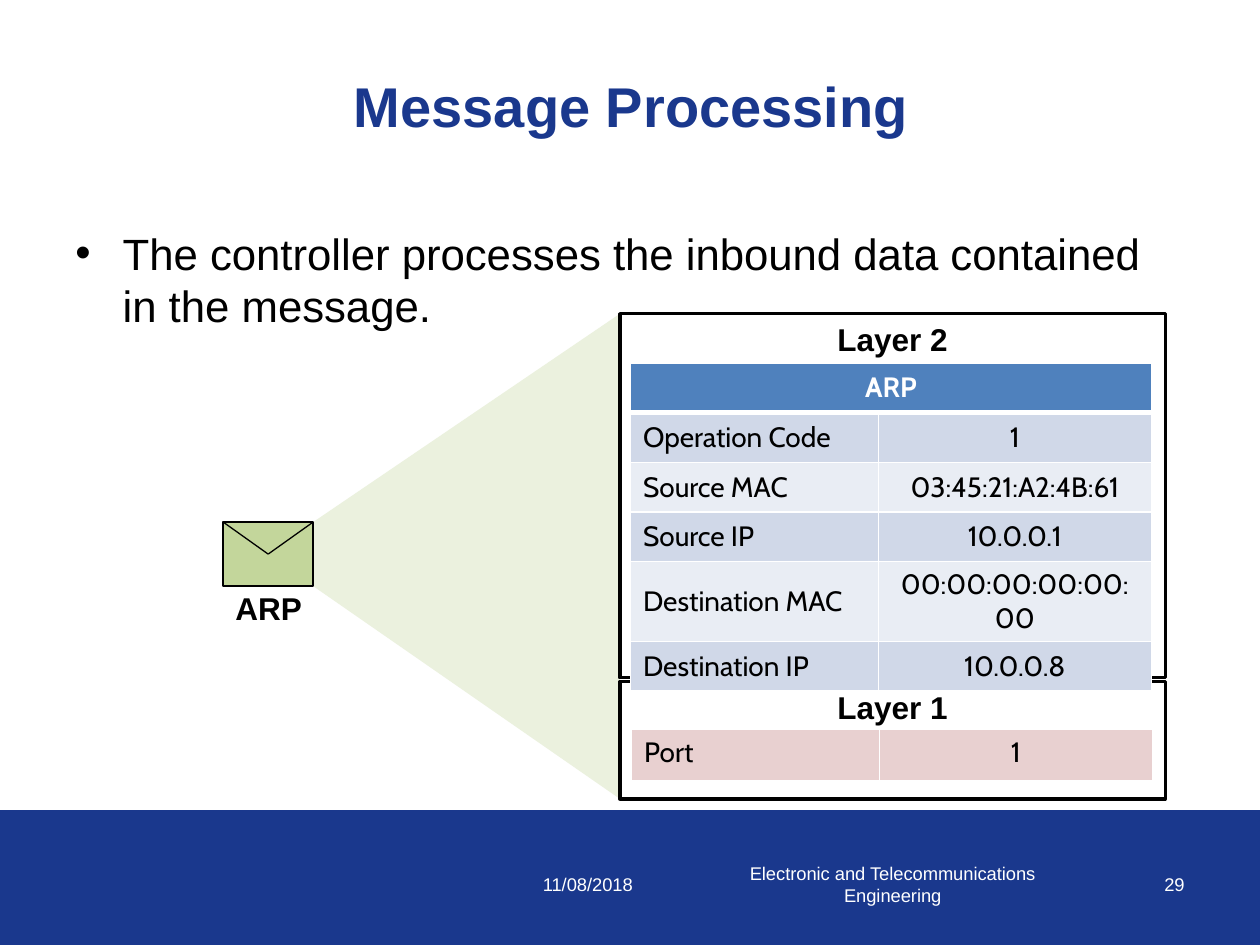
from dataclasses import dataclass

import pptx
import pptx.dml.color
import pptx.enum.shapes
import pptx.enum.text
import pptx.oxml
import pptx.oxml.ns
import pptx.util

Pt = pptx.util.Pt
RGBColor = pptx.dml.color.RGBColor
ALIGN = pptx.enum.text.PP_ALIGN
ANCHOR = pptx.enum.text.MSO_ANCHOR
RECTANGLE = pptx.enum.shapes.MSO_SHAPE.RECTANGLE

NAVY = RGBColor(0x1A, 0x38, 0x8D)
BLACK = RGBColor(0, 0, 0)
WHITE = RGBColor(0xFF, 0xFF, 0xFF)
BEAM_GREEN = RGBColor(0xEB, 0xF1, 0xDE)
ENVELOPE_GREEN = RGBColor(0xC3, 0xD6, 0x9B)
HEADER_BLUE = RGBColor(0x4F, 0x81, 0xBD)
BAND_DARK = RGBColor(0xD0, 0xD8, 0xE8)
BAND_LIGHT = RGBColor(0xE9, 0xED, 0xF4)
PORT_PINK = RGBColor(0xE8, 0xD0, 0xD0)

COLUMN_WIDTHS = (141.6, 156)


@dataclass
class Box:
    left: float
    top: float
    width: float
    height: float

    def lengths(self):
        return Pt(self.left), Pt(self.top), Pt(self.width), Pt(self.height)


@dataclass
class Style:
    size: float
    color: RGBColor
    bold: bool = False
    align: ALIGN = ALIGN.LEFT
    font: str = "Arial"


@dataclass
class Label:
    text: str
    box: Box
    style: Style
    anchor: ANCHOR = ANCHOR.MIDDLE
    wrap: bool = True


@dataclass
class Layer:
    name: str
    box: Box


def xml(tag: str, content: str = "", attributes: str = ""):
    namespace = pptx.oxml.ns.nsdecls("a")
    return pptx.oxml.parse_xml(f"<a:{tag} {namespace} {attributes}>{content}</a:{tag}>")


def write(paragraph, text: str, style: Style) -> None:
    paragraph.alignment = style.align
    run = paragraph.add_run()
    run.text = text
    run.font.name = style.font
    run.font.size = Pt(style.size)
    run.font.bold = style.bold
    run.font.color.rgb = style.color


def add_label(slide, label: Label):
    text_box = slide.shapes.add_textbox(*label.box.lengths())
    frame = text_box.text_frame
    frame.word_wrap = label.wrap
    frame.vertical_anchor = label.anchor
    write(frame.paragraphs[0], label.text, label.style)
    return frame.paragraphs[0]


def paint(shape, fill: RGBColor, line_width: float = 0) -> None:
    shape.shadow.inherit = False
    shape.fill.solid()
    shape.fill.fore_color.rgb = fill
    if line_width:
        shape.line.color.rgb = BLACK
        shape.line.width = Pt(line_width)
    else:
        shape.line.fill.background()


def add_rectangle(slide, box: Box, fill: RGBColor, line_width: float = 0):
    rectangle = slide.shapes.add_shape(RECTANGLE, *box.lengths())
    paint(rectangle, fill, line_width)
    return rectangle


def add_layer(slide, layer: Layer) -> None:
    frame = add_rectangle(slide, layer.box, WHITE, 2).text_frame
    frame.vertical_anchor = ANCHOR.TOP
    write(frame.paragraphs[0], layer.name, Style(18, BLACK, True, ALIGN.CENTER))


def add_line(slide, start: tuple, end: tuple) -> None:
    line = slide.shapes.add_connector(
        pptx.enum.shapes.MSO_CONNECTOR.STRAIGHT, *(Pt(value) for value in start + end))
    line.line.color.rgb = BLACK
    line.line.width = Pt(0.75)
    line._element.spPr.append(xml("effectLst"))


def fill_cell(cell, text: str, style: Style, fill: RGBColor,
              anchor: ANCHOR, bottom_border: float = 1) -> None:
    properties = cell._tc.get_or_add_tcPr()
    for side in "LRTB":
        width = Pt(bottom_border if side == "B" else 1)
        properties.append(xml(f"ln{side}", f'<a:solidFill><a:srgbClr val="{WHITE}"/></a:solidFill>',
                              f'w="{width}"'))
    cell.fill.solid()
    cell.fill.fore_color.rgb = fill
    cell.vertical_anchor = anchor
    if text:
        write(cell.text_frame.paragraphs[0], text, style)


def add_field_table(slide, left: float, top: float, row_height: float, fields: list,
                    bands: tuple, anchor: ANCHOR, header: str = "") -> None:
    header_rows = 1 if header else 0
    row_count = len(fields) + header_rows
    box = Box(left, top, sum(COLUMN_WIDTHS), row_height * row_count)
    table = slide.shapes.add_table(row_count, 2, *box.lengths()).table
    table.first_row = table.horz_banding = False
    for column, width in zip(table.columns, COLUMN_WIDTHS):
        column.width = Pt(width)
    if header:
        header_style = Style(16, WHITE, True, ALIGN.CENTER, "Cabin")
        for column, text in enumerate((header, "")):
            fill_cell(table.cell(0, column), text, header_style, HEADER_BLUE, anchor, 3)
        table.cell(0, 0).merge(table.cell(0, 1))
    for index, field in enumerate(fields):
        for column, align in enumerate((ALIGN.LEFT, ALIGN.CENTER)):
            fill_cell(table.cell(index + header_rows, column), field[column],
                      Style(16, BLACK, align=align, font="Cabin"),
                      bands[index % len(bands)], anchor)


def main() -> None:
    deck = pptx.Presentation()
    deck.slide_width, deck.slide_height = Pt(720), Pt(540)
    slide = deck.slides.add_slide(deck.slide_layouts[6])

    # Footer band and its texts
    add_rectangle(slide, Box(0, 463, 720, 77), NAVY)
    for text, left, width, align in (
            ("11/08/2018", 303.1, 96.5, ALIGN.LEFT),
            ("Electronic and Telecommunications Engineering", 405.4, 209.5, ALIGN.CENTER),
            ("29", 620.6, 63.4, ALIGN.RIGHT)):
        add_label(slide, Label(text, Box(left, 491, width, 29), Style(10.5, WHITE, align=align)))

    # Title and bullet
    add_label(slide, Label("Message Processing", Box(36.7, 15.1, 648, 90),
                           Style(32, NAVY, True, ALIGN.CENTER)))
    bullet = add_label(slide, Label(
        "The controller processes the inbound data contained in the message.",
        Box(36, 126, 648, 314), Style(25, BLACK), ANCHOR.TOP))
    indents = bullet._p.get_or_add_pPr()
    indents.set("marL", str(Pt(27)))
    indents.set("indent", str(-Pt(27)))
    indents.append(xml("buFont", attributes='typeface="Arial"'))
    indents.append(xml("buChar", attributes='char="•"'))

    # Beam from the envelope to the layers
    envelope = Box(127.5, 298.3, 51.5, 36.7)
    layer_2 = Layer("Layer 2", Box(354.2, 179.3, 311.8, 208))
    layer_1 = Layer("Layer 1", Box(354.2, 389.5, 311.8, 67))
    right = envelope.left + envelope.width
    beam = slide.shapes.build_freeform(Pt(right), Pt(envelope.top))
    beam.add_line_segments([
        (Pt(layer_2.box.left), Pt(layer_2.box.top)),
        (Pt(layer_1.box.left), Pt(layer_1.box.top + layer_1.box.height)),
        (Pt(right), Pt(envelope.top + envelope.height))], close=True)
    paint(beam.convert_to_shape(), BEAM_GREEN)

    # Layers and their fields
    for layer in (layer_2, layer_1):
        add_layer(slide, layer)
    add_field_table(slide, 360.3, 207.4, 28.4, [
        ("Operation Code", "1"),
        ("Source MAC", "03:45:21:A2:4B:61"),
        ("Source IP", "10.0.0.1"),
        ("Destination MAC", "00:00:00:00:00:00"),
        ("Destination IP", "10.0.0.8"),
    ], (BAND_DARK, BAND_LIGHT), ANCHOR.MIDDLE, "ARP")
    add_field_table(slide, 360.9, 416.9, 29.2, [("Port", "1")], (PORT_PINK,), ANCHOR.TOP)

    # Envelope with its flap and caption
    add_rectangle(slide, envelope, ENVELOPE_GREEN, 1)
    flap_tip = (envelope.left + envelope.width / 2, envelope.top + envelope.height / 2)
    for corner in (envelope.left, right):
        add_line(slide, flap_tip, (corner, envelope.top))
    add_label(slide, Label("ARP", Box(127.4, 332.8, 52.3, 29), Style(18, BLACK, True),
                           ANCHOR.TOP, wrap=False))

    deck.save("out.pptx")


if __name__ == "__main__":
    main()
